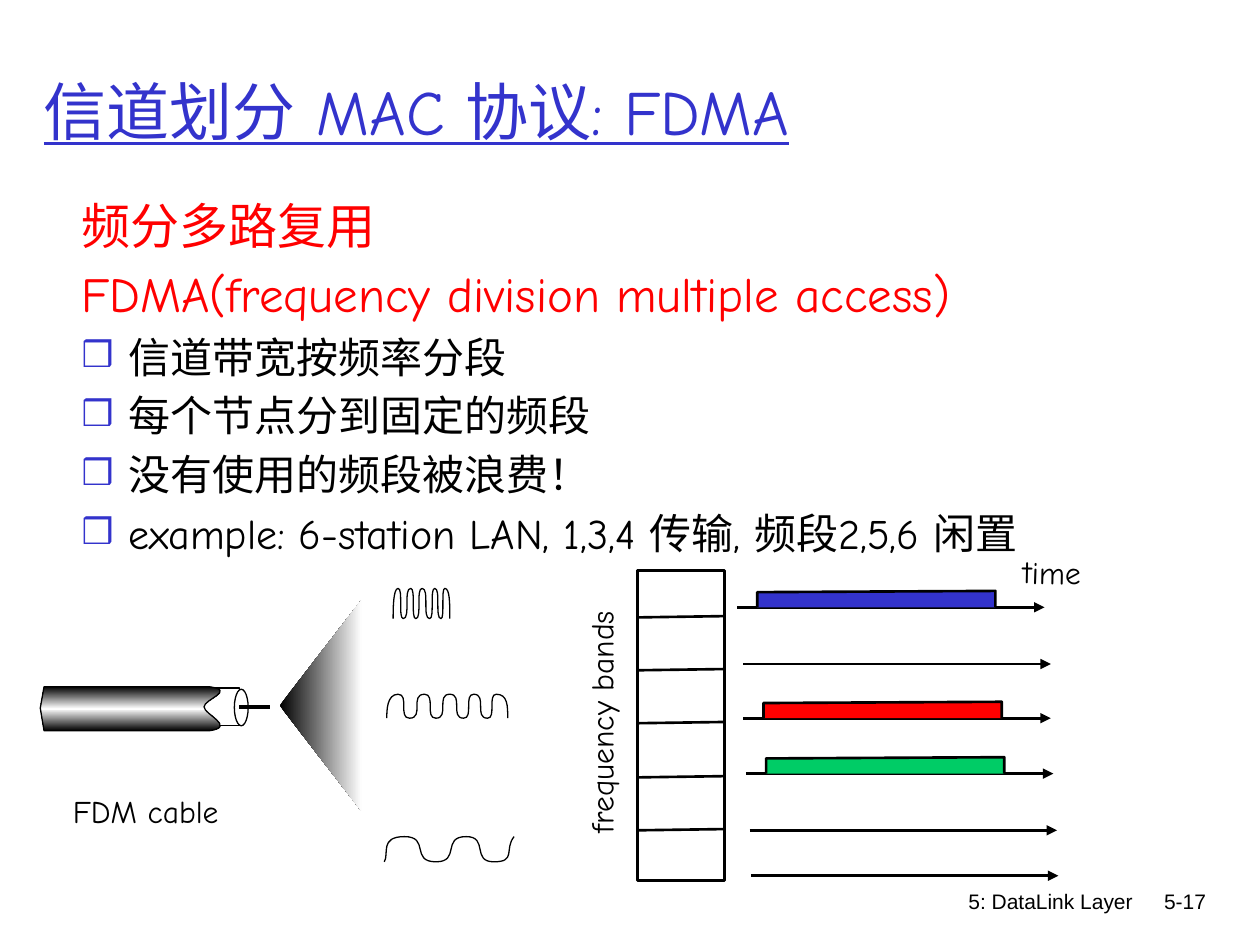
from copy import deepcopy
from dataclasses import dataclass

from lxml import etree
from pptx import Presentation, util as u
from pptx.dml.color import RGBColor
from pptx.enum import shapes, text
from pptx.oxml.ns import qn


@dataclass(frozen=True)
class Theme:
    blue: str = "3333CC"
    red: str = "FF0000"
    green: str = "00CC66"
    black: str = "000000"
    white: str = "FFFFFF"
    hand: str = "Comic Neue"
    plain: str = "Arial"
    title: int = 36
    lead: int = 28
    body: int = 24
    label: int = 18
    footer: int = 12
    thin: float = 0.75
    medium: float = 1.5
    thick: float = 2.25


T = Theme()
I = u.Inches


def rgb(colour):
    return RGBColor.from_string(colour)


def sub(parent, tag, **attributes):
    return etree.SubElement(parent, qn(tag), attributes)


# Text
def add_run(paragraph, words, *, size=T.label, font=T.hand, colour=T.black, underline=None):
    run = paragraph.add_run()
    run.text = words
    run.font.size, run.font.name = u.Pt(size), font
    run.font.underline = underline
    run.font.color.rgb = rgb(colour)
    sub(run.font._element, "a:ea", typeface=font)


def add_text(slide, box, words, *, align=None, anchor=text.MSO_ANCHOR.TOP,
             wrap=True, rotation=0, **run_format):
    area = slide.shapes.add_textbox(*map(I, box))
    area.rotation = rotation
    frame = area.text_frame
    frame.word_wrap, frame.vertical_anchor = wrap, anchor
    paragraph = frame.paragraphs[0]
    paragraph.alignment = align
    if words:
        add_run(paragraph, words, **run_format)
    return frame


def format_item(paragraph, bullet):
    props = paragraph._p.get_or_add_pPr()
    props.set("marL", str(I(0.37)))
    props.set("indent", str(-I(0.37)))
    sub(sub(props, "a:spcBef"), "a:spcPct", val="20000")
    if bullet:
        sub(sub(props, "a:buClr"), "a:srgbClr", val=T.blue)
        sub(props, "a:buSzPct", val="85000")
        sub(props, "a:buFont", typeface=T.hand)
        sub(props, "a:buChar", char="❒")
    else:
        sub(props, "a:buNone")


# Shapes
def style(shape, fill=None, width=None):
    shape.shadow.inherit = False
    if fill is None:
        shape.fill.background()
    else:
        shape.fill.solid()
        shape.fill.fore_color.rgb = rgb(fill)
    if width is None:
        shape.line.fill.background()
    else:
        shape.line.color.rgb = rgb(T.black)
        shape.line.width = u.Pt(width)
    return shape


def add_preset(slide, kind, box, width):
    return style(slide.shapes.add_shape(kind, *map(I, box)), T.white, width)


def add_outline(slide, left, top, start, segments, fill=None, width=None, close=True):
    """Each segment holds one point for a line or three for a cubic curve."""
    builder = slide.shapes.build_freeform(*map(I, start))
    builder.add_line_segments([(I(x), I(y)) for seg in segments for x, y in seg], close=close)
    shape = builder.convert_to_shape(I(left), I(top))
    steps = iter(list(shape._element.iter(qn("a:lnTo"))))
    for seg in segments:
        parts = [next(steps) for _ in seg]
        if len(parts) == 3:
            curve = etree.Element(qn("a:cubicBezTo"))
            parts[0].addprevious(curve)
            for part in parts:
                curve.append(part[0])
                part.getparent().remove(part)
    return style(shape, fill, width)


def add_gradient(shape, colours, angle):
    shape.fill.gradient()
    shape.fill.gradient_angle = angle
    stop_list = shape._element.spPr.find(qn("a:gradFill")).find(qn("a:gsLst"))
    while len(stop_list) < len(colours):
        stop_list.append(deepcopy(stop_list[0]))
    for i, (stop, colour) in enumerate(zip(shape.fill.gradient_stops, colours)):
        stop.position = i / (len(colours) - 1)
        stop.color.rgb = rgb(colour)


def add_line(slide, x1, y1, x2, y2, width=T.medium, arrow=False):
    line = slide.shapes.add_connector(shapes.MSO_CONNECTOR.STRAIGHT, *map(I, (x1, y1, x2, y2)))
    line.line.color.rgb = rgb(T.black)
    line.line.width = u.Pt(width)
    props = line._element.spPr
    if arrow:
        sub(props.find(qn("a:ln")), "a:tailEnd", type="triangle")
    sub(props, "a:effectLst")


# Regions
def heading(slide, box):
    add_text(slide, box, "信道划分 MAC 协议: FDMA", anchor=text.MSO_ANCHOR.MIDDLE,
             size=T.title, colour=T.blue, underline=True)


def explanation(slide, box):
    leads = ["频分多路复用", "FDMA(frequency division multiple access)"]
    points = ["信道带宽按频率分段", "每个节点分到固定的频段", "没有使用的频段被浪费！",
              "example: 6-station LAN, 1,3,4 传输, 频段2,5,6 闲置"]
    frame = add_text(slide, box, "")
    for i, words in enumerate(leads + points):
        paragraph = frame.add_paragraph() if i else frame.paragraphs[0]
        bullet = i >= len(leads)
        format_item(paragraph, bullet)
        add_run(paragraph, words, size=T.body if bullet else T.lead,
                colour=T.black if bullet else T.red)


def band_stack(slide, left, top, width, height):
    add_preset(slide, shapes.MSO_SHAPE.RECTANGLE, (left, top, width, height), T.medium)
    for offset in (0.37, 0.79, 1.21, 1.64, 2.06):
        add_line(slide, left, top + offset, left + width, top + offset - 0.01)
    add_text(slide, (left - 1.35, top + 0.92, 2.12, 0.4), "frequency bands",
             wrap=False, rotation=270)


def time_lines(slide, left, top):
    lanes = [(0, 0, T.blue), (0.05, 0.45, None), (0.05, 0.88, T.red),
             (0.07, 1.32, T.green), (0.1, 1.77, None), (0.11, 2.13, None)]
    for dx, dy, colour in lanes:
        x, y = left + dx, top + dy
        add_line(slide, x, y, x + 2.44, y, arrow=True)
        if colour:
            burst = [[(0, -0.12)], [(1.89, -0.13)], [(1.89, 0)]]
            add_outline(slide, x + 0.16, y, (0, 0), burst, colour, T.medium, close=False)
    add_text(slide, (left + 2.17, top - 0.48, 0.72, 0.4), "time", wrap=False, rotation=1.1)


def cable(slide, left, top):
    fan = add_outline(slide, left + 1.9, top + 0.15, (0.65, -0.84), [[(0, 0)], [(0.65, 0.84)]])
    add_gradient(fan, [T.black, T.white], 0)
    add_preset(slide, shapes.MSO_SHAPE.RECTANGLE, (left + 1.29, top + 0.01, 0.29, 0.3), T.thin)
    sheath = [[(0, 0.17)], [(0.03, 0.35)], [(1.34, 0.35)],
              [(1.56, 0.32), (1.3, 0.22), (1.3, 0.16)],
              [(1.3, 0.1), (1.56, 0.03), (1.34, 0)]]
    add_gradient(add_outline(slide, left, top, (0.03, 0), sheath, width=T.thin),
                 [T.black, T.white, T.black], 90)
    add_preset(slide, shapes.MSO_SHAPE.OVAL, (left + 1.54, top + 0.02, 0.11, 0.29), T.thin)
    add_line(slide, left + 1.58, top + 0.16, left + 1.82, top + 0.16, T.thick)
    add_text(slide, (left + 0.16, top + 0.79, 1.44, 0.4), "FDM cable", wrap=False)


def wave(slide, left, top, height, turns, bend=1, lean=0):
    """Swing between bottom and top at each turn; lean slants the two ends."""
    ends = [(x, 0 if i % 2 else height) for i, x in enumerate(turns)]
    swings = []
    for (x0, y0), (x1, y1) in zip(ends, ends[1:]):
        reach = bend * (x1 - x0)
        swings.append([(x0 + reach, y0), (x1 - reach, y1), (x1, y1)])
    swings[0][:2] = [(lean, height * 0.7), (-lean, 0)]
    last_x, last_y = ends[-1]
    swings[-1][:2] = [(last_x + lean / 2, height - last_y), (last_x - 2 * lean, height / 2)]
    add_outline(slide, left, top, ends[0], swings, width=T.thin, close=False)


def footer(slide, left, top):
    for x, width, words in ((left, 3.17, "5: DataLink Layer"), (left + 3.01, 0.74, "5-17")):
        add_text(slide, (x, top, width, 0.5), words, align=text.PP_ALIGN.RIGHT,
                 size=T.footer, font=T.plain)


def main():
    deck = Presentation()
    deck.slide_width, deck.slide_height = I(10), I(7.5)
    slide = deck.slides.add_slide(deck.slide_layouts[6])
    footer(slide, 5.92, 7)
    heading(slide, (0.25, 0.25, 9.44, 1.25))
    explanation(slide, (0.55, 1.5, 8.99, 5.08))
    band_stack(slide, 5.06, 4.53, 0.69, 2.46)
    time_lines(slide, 5.85, 4.82)
    cable(slide, 0.32, 5.45)
    wave(slide, 3.07, 5.51, 0.19, [0, 0.09, 0.18, 0.3, 0.39, 0.5, 0.61, 0.69, 0.8, 0.87, 0.96])
    wave(slide, 3.12, 4.67, 0.24, [0, 0.04, 0.08, 0.14, 0.18, 0.23, 0.29, 0.33, 0.38, 0.41, 0.45])
    wave(slide, 3.05, 6.64, 0.2, [0, 0.16, 0.41, 0.65, 0.87, 1.03], bend=0.82, lean=0.04)
    deck.save("out.pptx")


if __name__ == "__main__":
    main()
